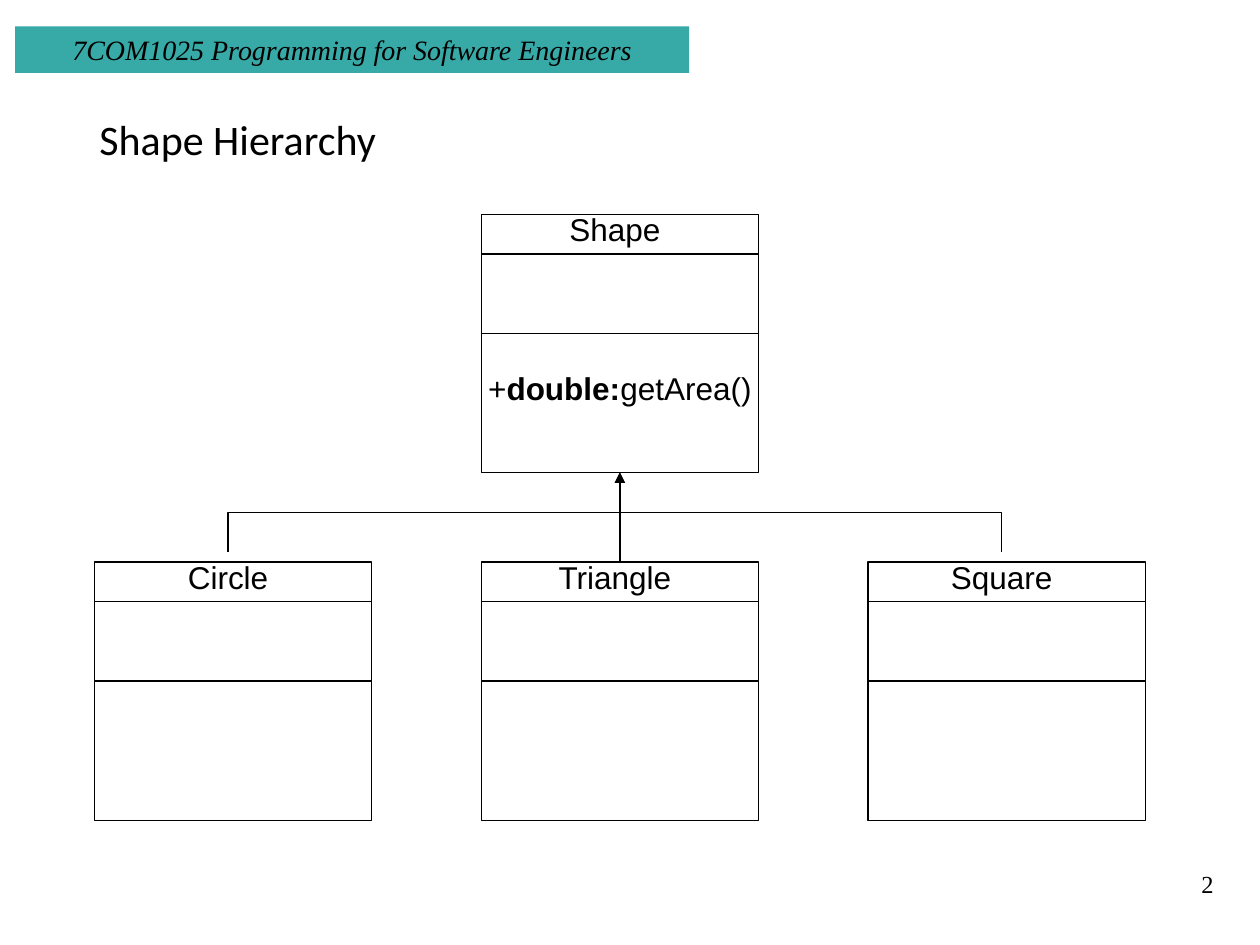
from pptx import Presentation
from pptx.dml.color import RGBColor
from pptx.enum.shapes import MSO_CONNECTOR, MSO_SHAPE
from pptx.enum.text import MSO_ANCHOR, PP_ALIGN
from pptx.oxml.ns import qn
from pptx.util import Inches, Pt
from lxml.etree import SubElement

BLACK = RGBColor(0x00, 0x00, 0x00)
TEAL = RGBColor(0x37, 0xAA, 0xA7)

# Grid of class boxes, in inches
COLS = [0.75 + 3.07 * i for i in range(3)]
ROWS = [1.70, 4.46]
BOX_W, BOX_H = 2.2, 2.05
DIVIDERS = (0.315, 0.945)


class ClassDiagram:
    """Holds the line and text style and the slide being drawn."""

    line_width = Pt(0.75)
    font, size = "Arial", 18

    def __init__(self, slide):
        self.s = slide

    def text(self, sp, runs, font=None, size=None, align=PP_ALIGN.CENTER,
             anchor=MSO_ANCHOR.TOP, italic=False, spacing=None):
        """Fill a shape with one paragraph of (text, bold) runs."""
        tf = sp.text_frame
        tf.word_wrap = True
        tf.vertical_anchor = anchor
        p = tf.paragraphs[0]
        p.alignment = align
        if spacing:
            p.line_spacing = spacing
        for content, bold in runs:
            r = p.add_run()
            r.text = content
            r.font.name = font or self.font
            r.font.size = Pt(size or self.size)
            r.font.bold, r.font.italic = bold, italic
            r.font.color.rgb = BLACK

    def textbox(self, x, y, w, h, runs, parent=None, **style):
        shapes = (parent or self.s).shapes
        sp = shapes.add_textbox(Inches(x), Inches(y), Inches(w), Inches(h))
        self.text(sp, runs, **style)

    def rect(self, x, y, w, h, fill=None, parent=None):
        shapes = (parent or self.s).shapes
        sp = shapes.add_shape(MSO_SHAPE.RECTANGLE, Inches(x), Inches(y),
                              Inches(w), Inches(h))
        sp.shadow.inherit = False
        if fill is not None:
            sp.fill.solid()
            sp.fill.fore_color.rgb = fill
            sp.line.fill.background()
        else:
            sp.fill.background()
            sp.line.color.rgb = BLACK
            sp.line.width = self.line_width
        return sp

    def line(self, x1, y1, x2, y2, kind=MSO_CONNECTOR.STRAIGHT, arrow=False,
             parent=None):
        shapes = (parent or self.s).shapes
        c = shapes.add_connector(kind, Inches(x1), Inches(y1),
                                 Inches(x2), Inches(y2))
        c.line.color.rgb = BLACK
        c.line.width = self.line_width
        if arrow:
            SubElement(c.line._get_or_add_ln(), qn("a:tailEnd"), type="triangle")
        SubElement(c._element.spPr, qn("a:effectLst"))
        return c

    def upward_elbow(self, x1, y1, x2, y2):
        """Elbow arrow that leaves and arrives vertically."""
        cx, cy = (x1 + x2) / 2, (y1 + y2) / 2
        dx, dy = (x2 - x1) / 2, (y1 - y2) / 2
        side = 1 if dx > 0 else -1
        # Lay the elbow on its side, then turn it a quarter
        c = self.line(cx - side * dy, cy - abs(dx), cx + side * dy, cy + abs(dx),
                      MSO_CONNECTOR.ELBOW, arrow=True)
        xfrm = c._element.spPr.find(qn("a:xfrm"))
        xfrm.set("rot", str((270 if dx > 0 else 90) * 60000))

    def class_box(self, col, row, name, method=None):
        """UML class: frame, two dividers, name and optional method."""
        x, y = COLS[col], ROWS[row]
        group = self.s.shapes.add_group_shape()
        frame = self.rect(x, y, BOX_W, BOX_H, parent=group)
        for d in DIVIDERS:
            self.line(x, y + d, x + BOX_W, y + d, parent=group)
        self.textbox(x + 0.47, y - 0.08, 1.18, 0.4, [(name, False)], parent=group)
        if method:
            self.textbox(x - 0.08, y + 1.18, 2.36, 0.4, method, parent=group)
        return frame


def main():
    prs = Presentation()
    prs.slide_width, prs.slide_height = Inches(10), Inches(7.5)
    d = ClassDiagram(prs.slides.add_slide(prs.slide_layouts[6]))

    # Course banner, page number and title
    banner = d.rect(0.12, 0.21, 5.35, 0.37, fill=TEAL)
    d.text(banner, [("7COM1025 Programming for Software Engineers", False)],
           font="Times New Roman", size=16, italic=True, anchor=MSO_ANCHOR.MIDDLE)
    d.textbox(8.94, 6.85, 0.79, 0.36, [("2", False)],
              font="Times New Roman", size=14, align=PP_ALIGN.RIGHT)
    d.textbox(0.69, 0.4, 8.62, 1.45, [("Shape Hierarchy", False)],
              font="Calibri", size=24, align=PP_ALIGN.LEFT,
              anchor=MSO_ANCHOR.MIDDLE, spacing=0.9)

    # Parent class and its subclasses
    d.class_box(1, 0, "Shape",
                [("+", False), ("double:", True), ("getArea()", False)])
    subclasses = [d.class_box(col, 1, name)
                  for col, name in enumerate(("Circle", "Triangle", "Square"))]

    # Inheritance arrows
    mid, bottom = COLS[1] + BOX_W / 2, ROWS[0] + BOX_H
    for x in (1.81, 7.95):
        d.upward_elbow(x, ROWS[1] - 0.08, mid, bottom)
    stem = d.line(mid, ROWS[1], mid, bottom + 0.08)
    stem.begin_connect(subclasses[1], 0)

    prs.save("out.pptx")


if __name__ == "__main__":
    main()
